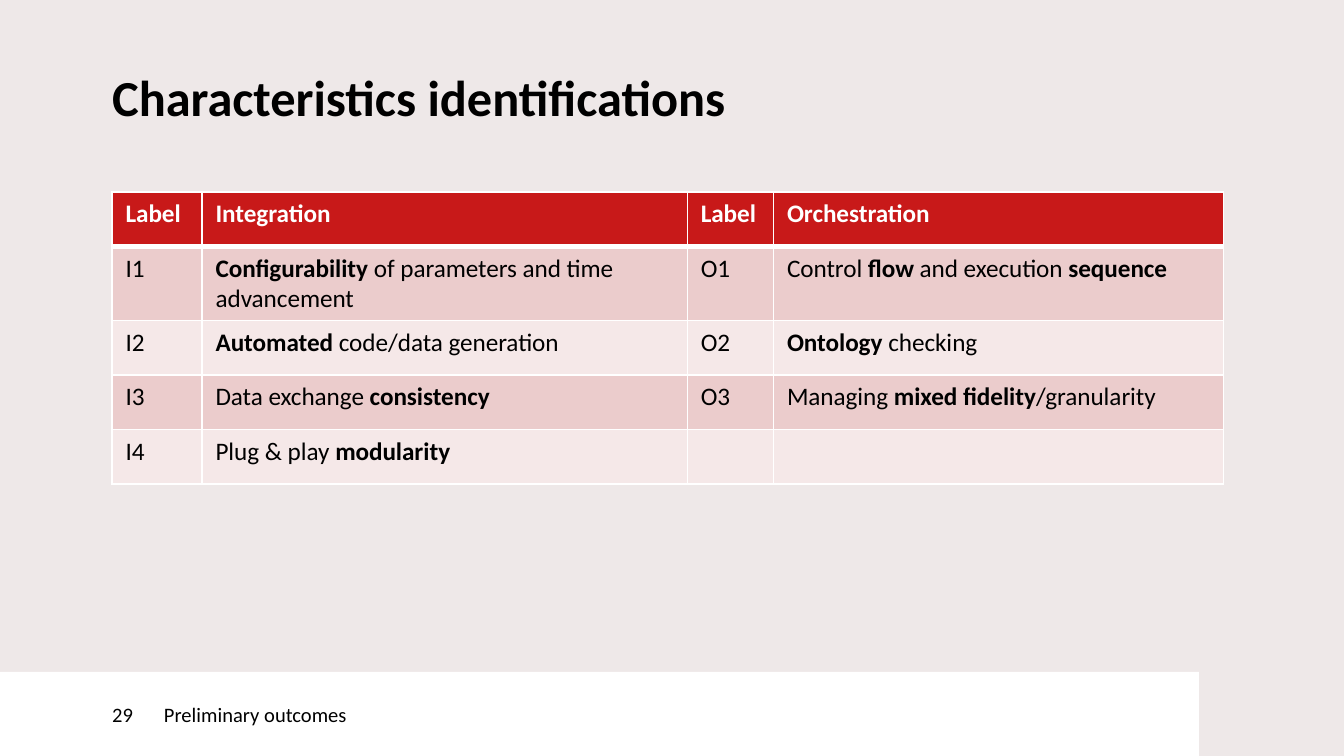
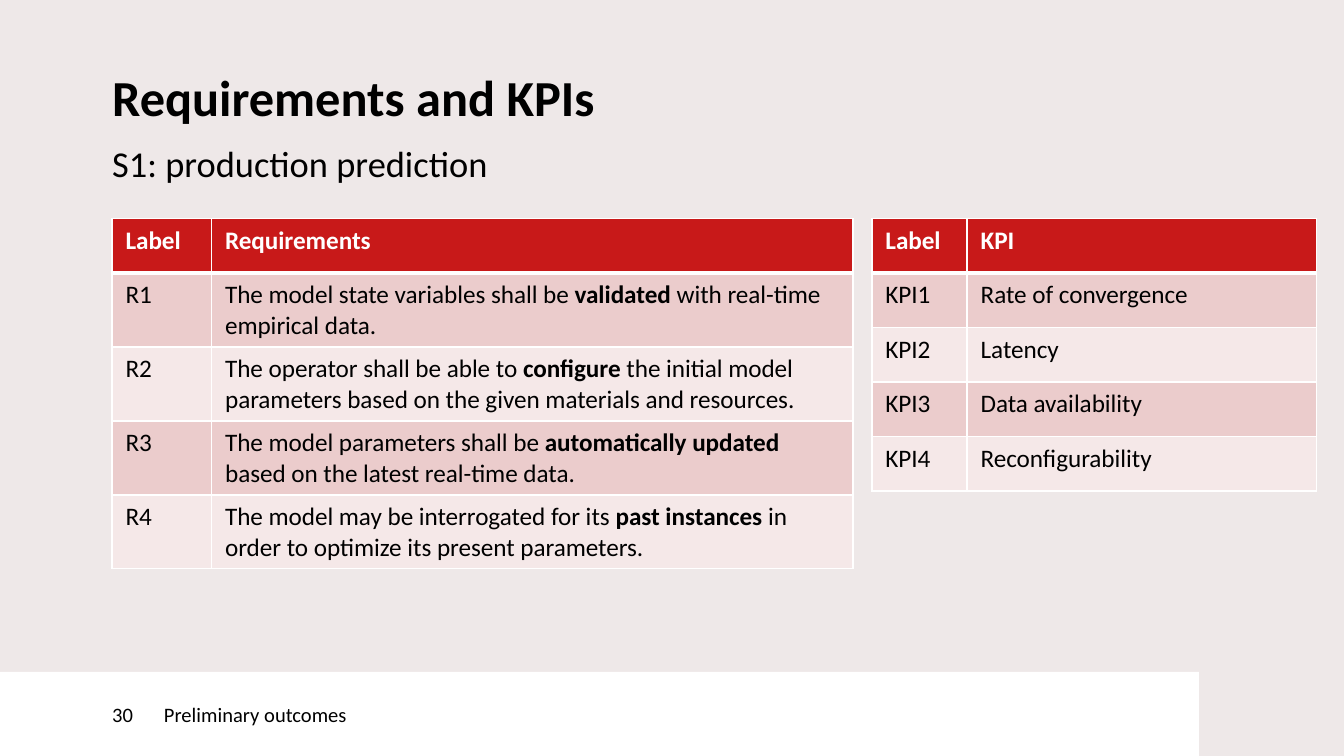
from lxml import etree
from pptx import Presentation
from pptx.dml.color import RGBColor
from pptx.enum.shapes import MSO_SHAPE
from pptx.enum.text import MSO_ANCHOR, PP_ALIGN
from pptx.oxml.ns import qn
from pptx.util import Cm, Pt

RECTANGLE = MSO_SHAPE.RECTANGLE
TOP = MSO_ANCHOR.TOP
MIDDLE = MSO_ANCHOR.MIDDLE
LEFT = PP_ALIGN.LEFT

BLACK = RGBColor(0x00, 0x00, 0x00)
WHITE = RGBColor(0xFF, 0xFF, 0xFF)
BACKGROUND = RGBColor(0xEE, 0xE8, 0xE8)
RED = RGBColor(0xC8, 0x19, 0x19)
DARK_BAND = RGBColor(0xEB, 0xCC, 0xCC)
LIGHT_BAND = RGBColor(0xF5, 0xE8, 0xE8)

FONT = "Calibri"
MARGIN = 2.12
CONTENT_WIDTH = 20.98
ROW_HEIGHT = 1.03
FOOTER_TOP = 12.7
FOOTER_HEIGHT = 1.59
NUMBER_WIDTH = 3.1
SECTION_WIDTH = 19.56

CHARACTERISTICS = [
    ["Label", "Integration", "Label", "Orchestration"],
    ["I1", "**Configurability** of parameters and time advancement",
     "O1", "Control **flow** and execution **sequence**"],
    ["I2", "**Automated** code/data generation", "O2", "**Ontology** checking"],
    ["I3", "Data exchange **consistency**",
     "O3", "Managing **mixed fidelity**/granularity"],
    ["I4", "Plug & play **modularity**", "", ""],
]
REQUIREMENTS = [
    ["Label", "Requirements"],
    ["R1", "The model state variables shall be **validated** with real-time "
           "empirical data."],
    ["R2", "The operator shall be able to **configure** the initial model "
           "parameters based on the given materials and resources."],
    ["R3", "The model parameters shall be **automatically updated **"
           "based on the latest real-time data."],
    ["R4", "The model may be interrogated for its **past instances **"
           "in order to optimize its present parameters."],
]
KPIS = [
    ["Label", "KPI"],
    ["KPI1", "Rate of convergence"],
    ["KPI2", "Latency"],
    ["KPI3", "Data availability"],
    ["KPI4", "Reconfigurability"],
]


def write_text(frame, text, size=13.5, color=BLACK, bold=False, line_spacing=None):
    paragraph = frame.paragraphs[0]
    paragraph.alignment = LEFT
    if line_spacing:
        paragraph.line_spacing = Pt(line_spacing)
    for index, part in enumerate(text.split("**")):
        if part:
            run = paragraph.add_run()
            run.text = part
            run.font.name = FONT
            run.font.size = Pt(size)
            run.font.color.rgb = color
            run.font.bold = bold or index % 2 == 1


def set_borders(cell, top=1, bottom=1):
    properties = cell._tc.get_or_add_tcPr()
    for side, width in (("L", 1), ("R", 1), ("T", top), ("B", bottom)):
        line = etree.SubElement(properties, qn(f"a:ln{side}"), w=str(Pt(width)))
        fill = etree.SubElement(line, qn("a:solidFill"))
        etree.SubElement(fill, qn("a:srgbClr"), val=str(WHITE))


class Deck:
    def __init__(self):
        self.presentation = Presentation()
        self.presentation.slide_width = Cm(25.4)
        self.presentation.slide_height = Cm(14.29)
        self.slide = None

    def add_slide(self, title):
        self.slide = self.presentation.slides.add_slide(
            self.presentation.slide_layouts[6])
        background = self.slide.background.fill
        background.solid()
        background.fore_color.rgb = BACKGROUND
        self.add_text(title, 1.45, CONTENT_WIDTH, 1.5,
                      size=27, bold=True, line_spacing=27)

    def prepare_frame(self, shape, anchor, left_inset=0):
        frame = shape.text_frame
        frame.word_wrap = True
        frame.vertical_anchor = anchor
        frame.margin_left = Cm(left_inset)
        frame.margin_top = frame.margin_right = frame.margin_bottom = 0
        return frame

    def add_text(self, text, top, width, height, **text_format):
        box = self.slide.shapes.add_textbox(
            Cm(MARGIN), Cm(top), Cm(width), Cm(height))
        write_text(self.prepare_frame(box, TOP), text, **text_format)

    def add_band(self, text, left, width, left_inset=0):
        band = self.slide.shapes.add_shape(
            RECTANGLE, Cm(left), Cm(FOOTER_TOP), Cm(width), Cm(FOOTER_HEIGHT))
        band.shadow.inherit = False
        band.fill.solid()
        band.fill.fore_color.rgb = WHITE
        band.line.fill.background()
        write_text(self.prepare_frame(band, MIDDLE, left_inset), text, size=11)

    def add_footer(self, section, number):
        self.add_band(section, NUMBER_WIDTH, SECTION_WIDTH)
        self.add_band(str(number), 0, NUMBER_WIDTH, left_inset=MARGIN)

    def add_table(self, rows, left, top, widths):
        table = self.slide.shapes.add_table(
            len(rows), len(widths), Cm(left), Cm(top),
            Cm(sum(widths)), Cm(ROW_HEIGHT * len(rows))).table
        table.horz_banding = False
        for column, width in zip(table.columns, widths):
            column.width = Cm(width)
        for row_index, row in enumerate(rows):
            table.rows[row_index].height = Cm(ROW_HEIGHT)
            header = row_index == 0
            band = DARK_BAND if row_index % 2 else LIGHT_BAND
            for column_index, text in enumerate(row):
                cell = table.cell(row_index, column_index)
                set_borders(cell, top=3 if row_index == 1 else 1,
                            bottom=3 if header else 1)
                cell.fill.solid()
                cell.fill.fore_color.rgb = RED if header else band
                write_text(cell.text_frame, text, bold=header,
                           color=WHITE if header else BLACK)


def main():
    deck = Deck()
    section = "Preliminary outcomes"

    deck.add_slide("Characteristics identifications")
    deck.add_footer(section, 29)
    deck.add_table(CHARACTERISTICS, MARGIN, 3.63, [1.7, 9.17, 1.63, 8.5])

    deck.add_slide("Requirements and KPIs")
    deck.add_table(REQUIREMENTS, MARGIN, 4.13, [1.88, 12.12])
    deck.add_footer(section, 30)
    deck.add_table(KPIS, 16.48, 4.13, [1.8, 6.6])
    deck.add_text("S1: production prediction", 2.67, 9.22, 0.97, size=19.5)

    deck.presentation.save("out.pptx")


if __name__ == "__main__":
    main()
